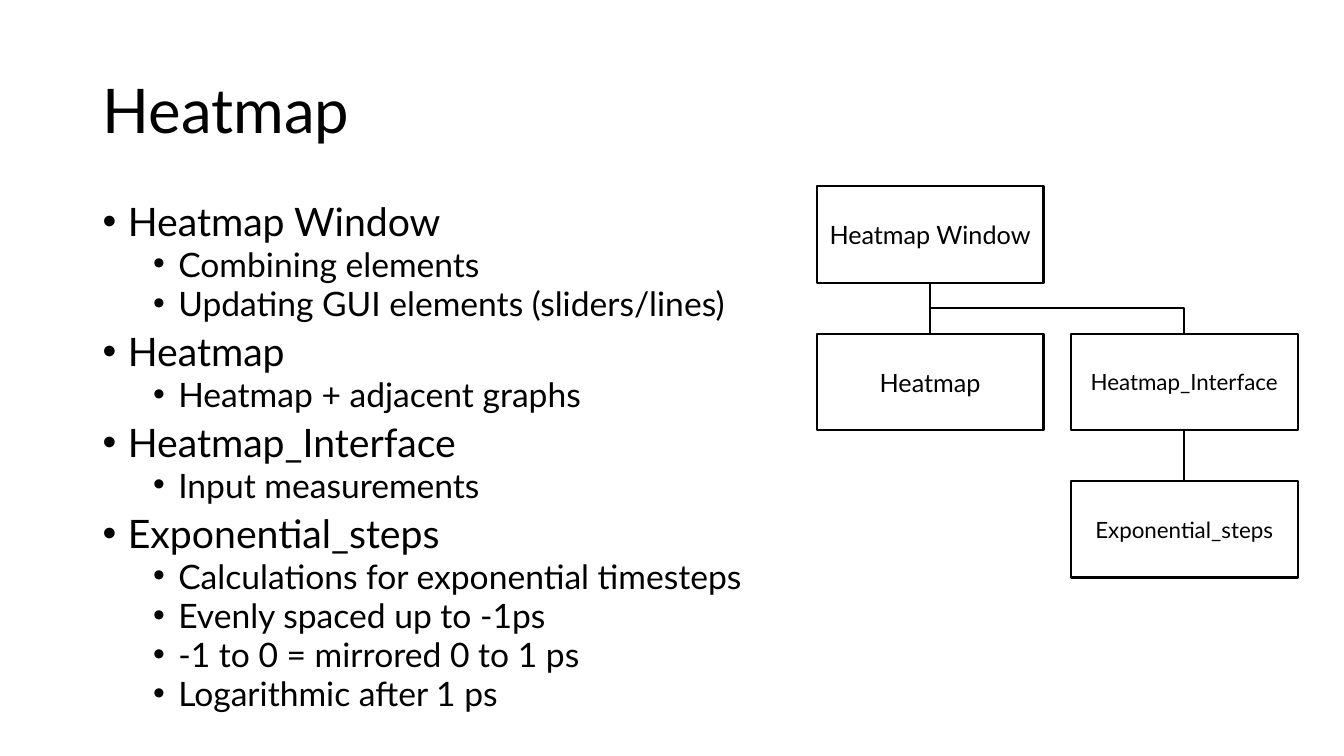
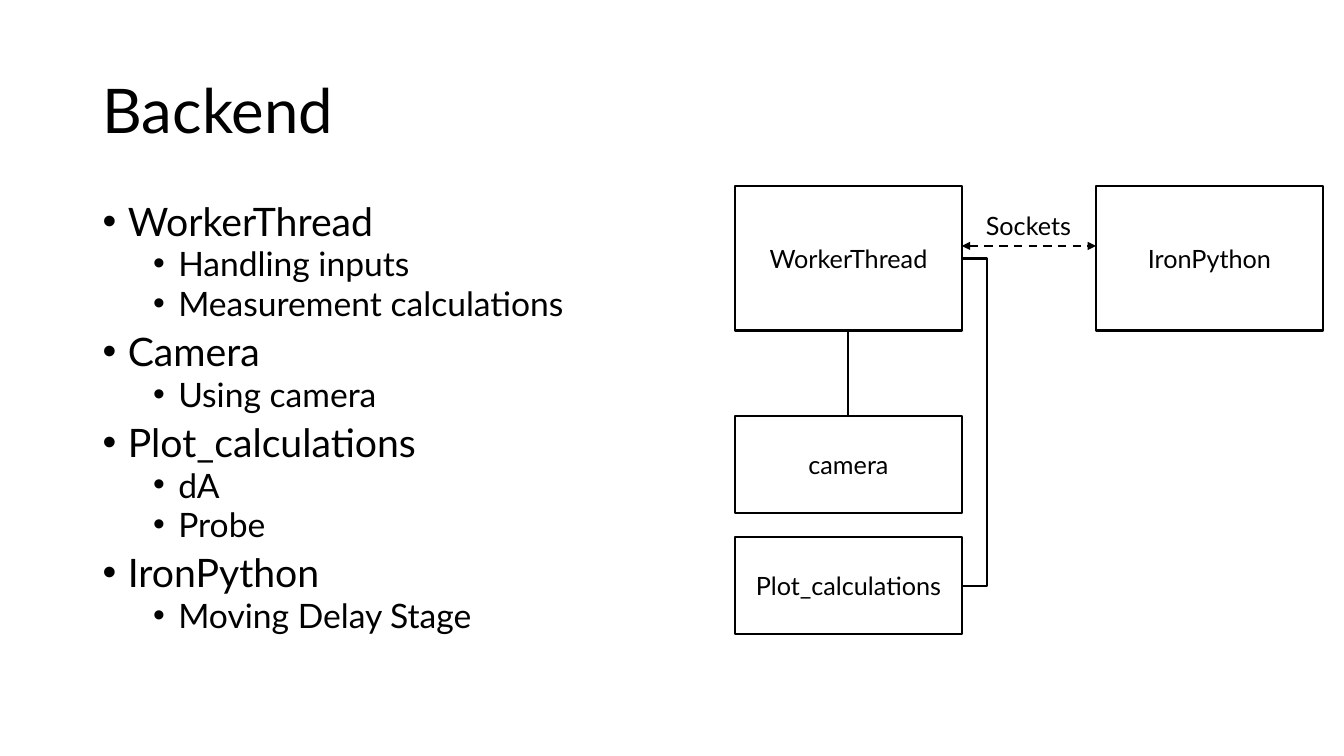
from lxml import etree
from pptx import Presentation
from pptx.dml.color import RGBColor
from pptx.enum.dml import MSO_LINE
from pptx.enum.shapes import MSO_CONNECTOR, MSO_SHAPE
from pptx.enum.text import MSO_ANCHOR, PP_ALIGN
from pptx.oxml.ns import qn
from pptx.util import Inches, Pt

RECT = MSO_SHAPE.RECTANGLE
STRAIGHT, ELBOW = MSO_CONNECTOR.STRAIGHT, MSO_CONNECTOR.ELBOW
DASH = MSO_LINE.DASH
MIDDLE, TOP_ANCHOR = MSO_ANCHOR.MIDDLE, MSO_ANCHOR.TOP
LEFT, CENTER = PP_ALIGN.LEFT, PP_ALIGN.CENTER
SITE_TOP, SITE_BOTTOM, SITE_RIGHT = 0, 2, 3  # connection sites of a rectangle

# Shared look
COLORS = {"ink": "000000", "paper": "FFFFFF"}
FONT = "Lato"
LINE_WIDTH = 1.5
SLIDE_W, SLIDE_H = 13.33, 7.5
MARGIN = 0.92
BODY_TOP = 2
DIAGRAM_TOP = 1.85
BOX_W, BOX_H, TALL_H = 2.25, 0.96, 1.43
TITLE = {"line_spacing": 0.9}
LEVELS = [
    {"size": 28, "indent": 0.25, "format": {"line_spacing": 0.8, "space_before": Pt(10)}},
    {"size": 24, "indent": 0.75, "format": {"line_spacing": 0.8, "space_before": Pt(5)}},
]
HANG = 0.25

# Bullet text: heading and its points
HEATMAP_POINTS = [
    ("Heatmap Window", ["Combining elements", "Updating GUI elements (sliders/lines)"]),
    ("Heatmap", ["Heatmap + adjacent graphs"]),
    ("Heatmap_Interface", ["Input measurements"]),
    ("Exponential_steps", ["Calculations for exponential timesteps", "Evenly spaced up to -1ps",
                           "-1 to 0 = mirrored 0 to 1 ps", "Logarithmic after 1 ps"]),
]
BACKEND_POINTS = [
    ("WorkerThread", ["Handling inputs", "Measurement calculations"]),
    ("Camera", ["Using camera"]),
    ("Plot_calculations", ["dA", "Probe"]),
    ("IronPython", ["Moving Delay Stage"]),
]


def color(name):
    return RGBColor.from_string(COLORS[name])


def write(p, text, size, **formats):
    for name, value in formats.items():
        setattr(p, name, value)
    r = p.add_run()
    r.text = text
    for name, value in {"name": FONT, "size": Pt(size)}.items():
        setattr(r.font, name, value)
    r.font.color.rgb = color("ink")


def add_text(slide, x, y, w, h, anchor=TOP_ANCHOR):
    tf = slide.shapes.add_textbox(*map(Inches, (x, y, w, h))).text_frame
    tf.word_wrap = True
    tf.vertical_anchor = anchor
    return tf


def add_title(slide, text):
    tf = add_text(slide, MARGIN, 0.4, SLIDE_W - 2 * MARGIN, 1.45, MIDDLE)
    write(tf.paragraphs[0], text, 44, alignment=LEFT, **TITLE)


def add_bullets(slide, points, w, h):
    tf = add_text(slide, MARGIN, BODY_TOP, w, h)
    lines = [(level, text) for heading, details in points
             for level, text in [(0, heading)] + [(1, detail) for detail in details]]
    for i, (level, text) in enumerate(lines):
        p = tf.add_paragraph() if i else tf.paragraphs[0]
        style = LEVELS[level]
        write(p, text, style["size"], level=level, **style["format"])
        # Hanging bullet
        pPr = p._p.get_or_add_pPr()
        pPr.set("marL", str(Inches(style["indent"])))
        pPr.set("indent", str(-Inches(HANG)))
        etree.SubElement(pPr, qn("a:buFont")).set("typeface", "Arial")
        etree.SubElement(pPr, qn("a:buChar")).set("char", "•")


def grid_box(slide, left, pitch_x, pitch_y):
    """Return a function that puts a labelled box in a column and row."""
    def add_box(text, col, row, h=BOX_H, size=18):
        x, y = left + col * pitch_x, DIAGRAM_TOP + row * pitch_y
        sp = slide.shapes.add_shape(RECT, *map(Inches, (x, y, BOX_W, h)))
        sp.shadow.inherit = False
        sp.fill.solid()
        sp.fill.fore_color.rgb = color("paper")
        sp.line.color.rgb = color("ink")
        sp.line.width = Pt(LINE_WIDTH)
        sp.text_frame.word_wrap = True
        sp.text_frame.vertical_anchor = MIDDLE
        write(sp.text_frame.paragraphs[0], text, size, alignment=CENTER)
        return sp
    return add_box


def add_line(slide, kind, x1=0, y1=0, x2=0, y2=0):
    line = slide.shapes.add_connector(kind, x1, y1, x2, y2)
    line.line.color.rgb = color("ink")
    line.line.width = Pt(LINE_WIDTH)
    etree.SubElement(line._element.spPr, qn("a:effectLst"))
    return line


def join(slide, kind, start, start_site, end, end_site):
    line = add_line(slide, kind)
    line.begin_connect(start, start_site)
    line.end_connect(end, end_site)
    return line


def join_down(slide, parent, child):
    """Link a parent's bottom to a child's top, with an elbow if they are not aligned."""
    aligned = parent.left == child.left
    line = join(slide, STRAIGHT if aligned else ELBOW, parent, SITE_BOTTOM, child, SITE_TOP)
    if not aligned:
        # A quarter turn makes the elbow leave downwards
        x, y, w, h = line.left, line.top, line.width, line.height
        line.left, line.top = x + (w - h) // 2, y + (h - w) // 2
        line.width, line.height = h, w
        xfrm = line._element.spPr.find(qn("a:xfrm"))
        xfrm.set("rot", str(270 * 60000))
        xfrm.set("flipH", "1")


def join_sides(slide, lower, upper, reach):
    """Link the right sides of two boxes, bulging out by reach."""
    line = join(slide, ELBOW, lower, SITE_RIGHT, upper, SITE_RIGHT)
    line.end_x = line.begin_x + Inches(0.01)
    guides = line._element.spPr.find(qn("a:prstGeom")).find(qn("a:avLst"))
    guide = etree.SubElement(guides, qn("a:gd"))
    guide.set("name", "adj1")
    guide.set("fmla", f"val {round(reach / 0.01 * 100000)}")


def add_link(slide, left_box, right_box, text):
    """Dashed two-way arrow between boxes, with a label above."""
    y = Inches(2.44)
    line = add_line(slide, STRAIGHT, left_box.left + left_box.width, y, right_box.left, y)
    line.line.dash_style = DASH
    for end in ("a:headEnd", "a:tailEnd"):
        etree.SubElement(line.line._get_or_add_ln(), qn(end)).set("type", "triangle")
    tf = add_text(slide, 9.68, 2.04, 1.16, 0.4)
    write(tf.paragraphs[0], text, 18)


def heatmap_slide(slide):
    add_title(slide, "Heatmap")
    box = grid_box(slide, 8.1, 2.52, 1.46)
    window = box("Heatmap Window", 0, 0)
    heatmap = box("Heatmap", 0, 1)
    interface = box("Heatmap_Interface", 1, 1, size=16)
    steps = box("Exponential_steps", 1, 2, size=16)
    for parent, child in ((window, heatmap), (window, interface), (interface, steps)):
        join_down(slide, parent, child)
    add_bullets(slide, HEATMAP_POINTS, 6.92, 5.29)


def backend_slide(slide):
    add_title(slide, "Backend")
    add_bullets(slide, BACKEND_POINTS, 6.24, 4.76)
    box = grid_box(slide, 7.29, 3.58, 1.2)
    worker = box("WorkerThread", 0, 0, TALL_H)
    camera = box("camera", 0, 1.9)
    plot = box("Plot_calculations", 0, 2.9)
    iron = box("IronPython", 1, 0, TALL_H)
    join_down(slide, worker, camera)
    join_sides(slide, plot, worker, 0.25)
    add_link(slide, worker, iron, "Sockets")


def main():
    prs = Presentation()
    prs.slide_width, prs.slide_height = Inches(SLIDE_W), Inches(SLIDE_H)
    blank = prs.slide_layouts[6]
    for build in (heatmap_slide, backend_slide):
        build(prs.slides.add_slide(blank))
    prs.save("out.pptx")


if __name__ == "__main__":
    main()
